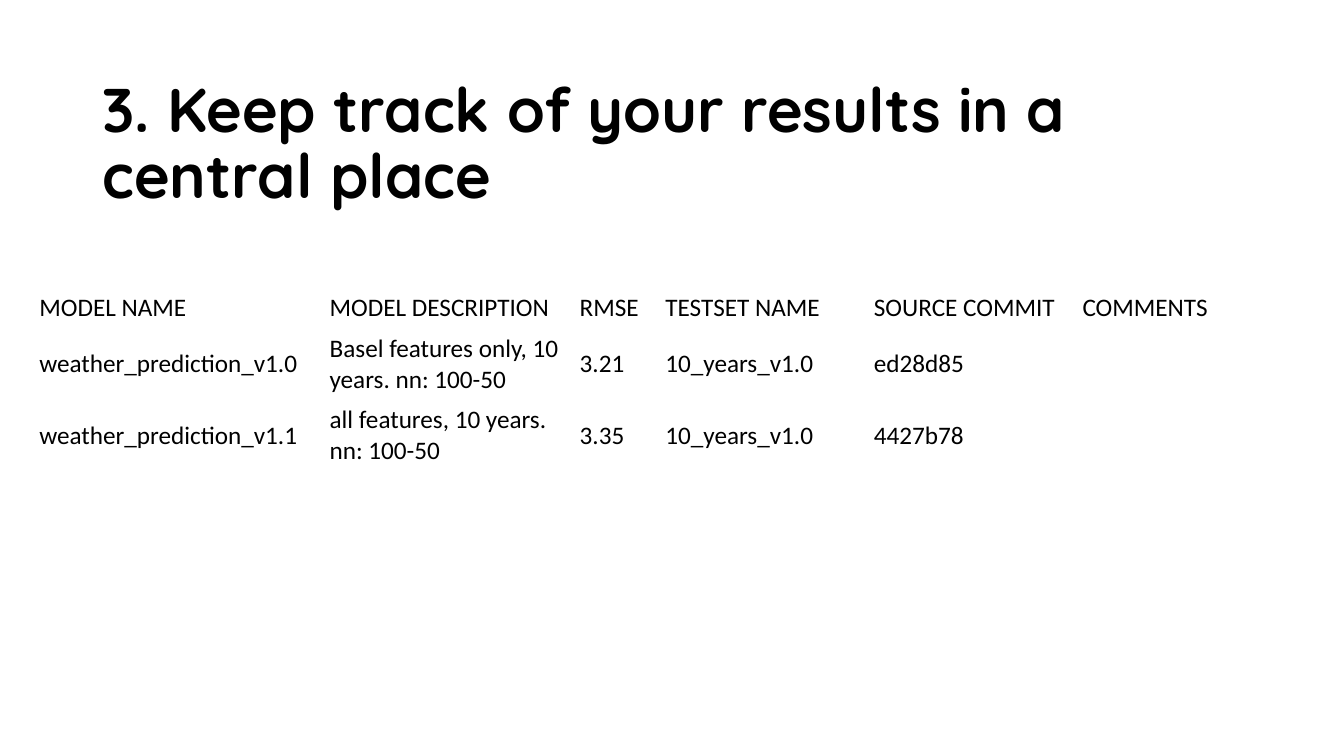
"""Build a slide with a title and a table of model results."""
from dataclasses import dataclass

from pptx import Presentation
from pptx.dml.color import RGBColor
from pptx.enum.text import MSO_ANCHOR
from pptx.slide import Slide
from pptx.text.text import TextFrame
from pptx.util import Pt


@dataclass(frozen=True)
class Theme:
    ink: RGBColor = RGBColor(0, 0, 0)
    head: str = "Quicksand"
    body: str = "Calibri"
    large: float = 44
    small: float = 18


@dataclass(frozen=True)
class Column:
    head: str
    width: float
    items: tuple[str, str]


THEME = Theme()
COLUMNS = (
    Column("MODEL NAME", 207.4,
           ("weather_prediction_v1.0", "weather_prediction_v1.1")),
    Column("MODEL DESCRIPTION", 178.6,
           ("Basel features only, 10 years. nn: 100-50",
            "all features, 10 years. nn: 100-50")),
    Column("RMSE", 61.2, ("3.21", "3.35")),
    Column("TESTSET NAME", 149, ("10_years_v1.0", "10_years_v1.0")),
    Column("SOURCE COMMIT", 149, ("ed28d85", "4427b78")),
    Column("COMMENTS", 149, ("", "")),
)
HEIGHTS = (29.2, 51.2, 51.2)


def write(frame: TextFrame, text: str, *, face: str = THEME.body,
          size: float = THEME.small, bold: bool = False,
          space: float = 1.0) -> None:
    """Fill a text frame with one formatted paragraph."""
    frame.word_wrap = True
    para = frame.paragraphs[0]
    para.line_spacing = space
    para.font.size = Pt(size)
    if not text:
        return
    run = para.add_run()
    run.text = text
    run.font.name = face
    run.font.size = Pt(size)
    run.font.bold = bold
    run.font.color.rgb = THEME.ink


def add_title(slide: Slide, text: str) -> None:
    """Add the slide title."""
    box = slide.shapes.add_textbox(Pt(66.2), Pt(51.8), Pt(828), Pt(104.4))
    box.text_frame.vertical_anchor = MSO_ANCHOR.MIDDLE
    write(box.text_frame, text, face=THEME.head, size=THEME.large,
          bold=True, space=0.9)


def add_grid(slide: Slide, columns: tuple[Column, ...]) -> None:
    """Add the plain table of results."""
    width = sum(column.width for column in columns)
    table = slide.shapes.add_table(
        len(HEIGHTS), len(columns), Pt(20.9), Pt(205.2),
        Pt(width), Pt(sum(HEIGHTS))).table
    table.first_row = table.horz_banding = False
    for row, height in zip(table.rows, HEIGHTS):
        row.height = Pt(height)
    for x, column in enumerate(columns):
        table.columns[x].width = Pt(column.width)
        for y, text in enumerate((column.head, *column.items)):
            cell = table.cell(y, x)
            cell.fill.background()
            cell.vertical_anchor = MSO_ANCHOR.MIDDLE
            write(cell.text_frame, text)


def main() -> None:
    """Build and save the deck."""
    deck = Presentation()
    deck.slide_width, deck.slide_height = Pt(960), Pt(540)
    slide = deck.slides.add_slide(deck.slide_layouts[6])
    add_title(slide, "3. Keep track of your results in a central place")
    add_grid(slide, COLUMNS)
    deck.save("out.pptx")


if __name__ == "__main__":
    main()
